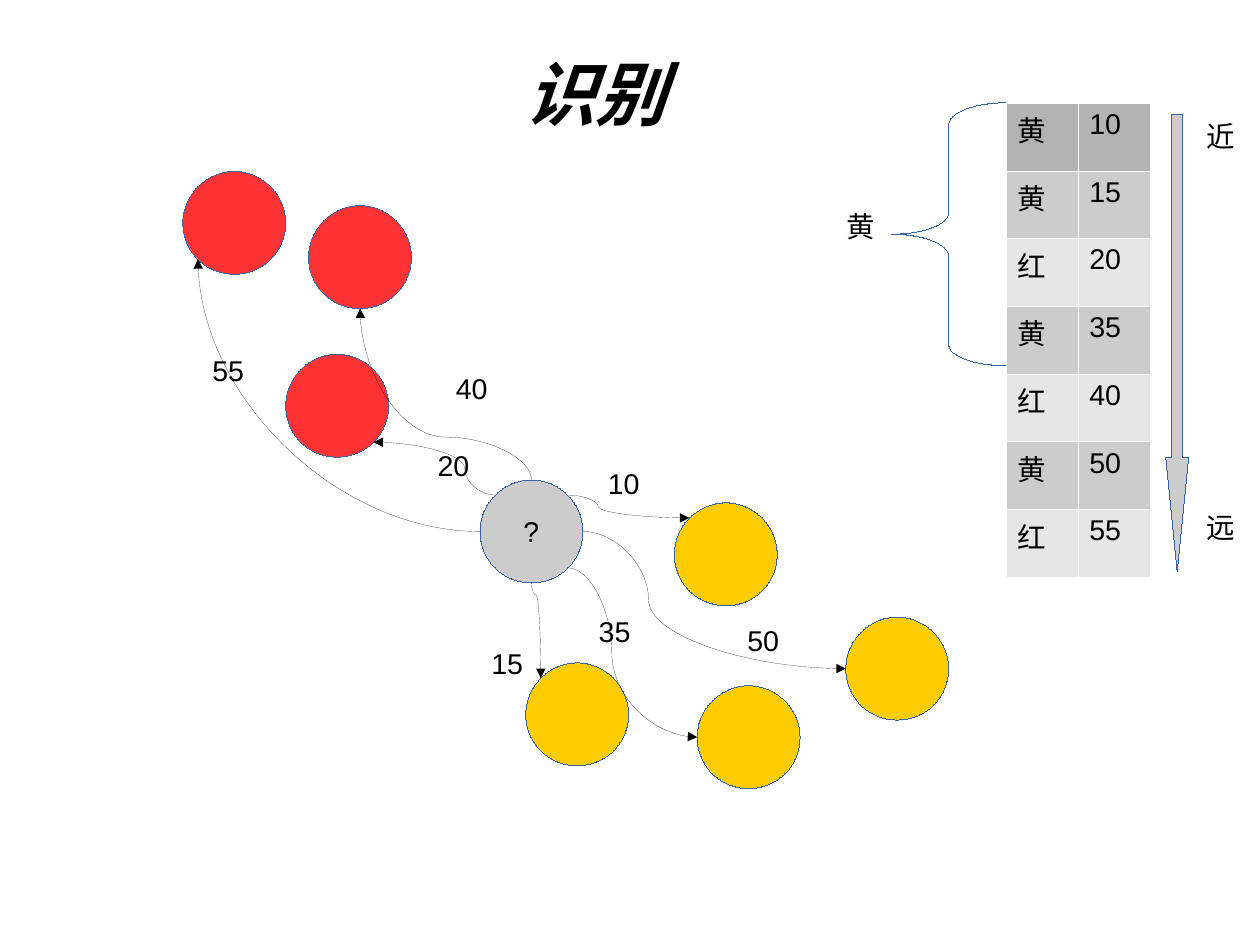
from collections import namedtuple
from math import cos, radians, sin

from lxml.etree import SubElement
from pptx import Presentation
from pptx.dml.color import RGBColor
from pptx.enum.shapes import MSO_CONNECTOR as Link, MSO_SHAPE as Shape
from pptx.enum.text import MSO_ANCHOR as Anchor, MSO_AUTO_SIZE as AutoSize, PP_ALIGN as Align
from pptx.oxml.ns import qn
from pptx.util import Cm, Pt

PX = 9144  # 100 px to the inch
RADIUS = 45
BLACK, WHITE, OUTLINE = "000000", "FFFFFF", "3465A4"
RED, YELLOW, GREY, LIGHT, DARK = "FF3333", "FFCC00", "CCCCCC", "E6E6E6", "B3B3B3"
UNKNOWN = (465, 465)

# Angles run clockwise from the right; bend is None for a single-turn curve.
Neighbour = namedtuple("Neighbour", "distance center color leave arrive bend label")
NEIGHBOURS = [
    Neighbour(15, (505, 625), YELLOW, 90, 225, 0.13, (420, 560)),
    Neighbour(35, (655, 645), YELLOW, 45, 180, 0.34, (514, 532)),
    Neighbour(50, (785, 585), YELLOW, 0, 180, 0.25, (644, 540)),
    Neighbour(10, (635, 485), YELLOW, 315, 225, 0.25, (522, 403)),
    Neighbour(40, (315, 225), RED, 270, 90, 0.25, (389, 320)),
    Neighbour(20, (295, 355), RED, 225, 45, 0.25, (373, 387)),
    Neighbour(55, (205, 195), RED, 180, 135, None, (176, 304)),
]


def px(*lengths):
    return [round(length * PX) for length in lengths]


def rgb(color):
    return RGBColor.from_string(color)


def add_span(para, text, size=18, bold=False, italic=False):
    span = para.add_run()
    span.text = text
    font = span.font
    font.name, font.size, font.bold, font.italic = "Arial", Pt(size), bold, italic
    font.color.rgb = rgb(BLACK)


def add_label(page, text, box):
    frame = page.shapes.add_textbox(*px(*box)).text_frame
    frame.word_wrap = True
    frame.auto_size = AutoSize.SHAPE_TO_FIT_TEXT
    add_span(frame.paragraphs[0], text)


def set_hairline(shape, color):
    """Give the thinnest line; a zero width must be written out in the XML."""
    shape.line.color.rgb = rgb(color)
    line = shape._element.spPr.find(qn("a:ln"))
    line.set("w", "0")
    return line


def add_outlined(page, kind, box, fill=None):
    shape = page.shapes.add_shape(kind, *px(*box))
    shape.shadow.inherit = False
    if fill:
        shape.fill.solid()
        shape.fill.fore_color.rgb = rgb(fill)
    else:
        shape.fill.background()
    set_hairline(shape, OUTLINE)
    return shape


def add_circle(page, center, color):
    x, y = center
    return add_outlined(page, Shape.OVAL, (x - RADIUS, y - RADIUS, 2 * RADIUS, 2 * RADIUS), color)


def rim_point(center, angle):
    turn = radians(angle)
    return center[0] + RADIUS * cos(turn), center[1] + RADIUS * sin(turn)


def add_curve(page, start, end, bend, vertical):
    """Draw a curved arrow that leaves vertically or horizontally."""
    dx, dy = end[0] - start[0], end[1] - start[1]
    width, height = (abs(dy), abs(dx)) if vertical else (abs(dx), abs(dy))
    left = (start[0] + end[0] - width) / 2
    top = (start[1] + end[1] - height) / 2
    curve = page.shapes.add_connector(
        Link.CURVE, *px(left, top, left + width, top + height))
    line = set_hairline(curve, BLACK)
    SubElement(line, qn("a:tailEnd"), type="triangle")

    properties = curve._element.spPr
    frame = properties.find(qn("a:xfrm"))
    if vertical:
        frame.set("rot", str(270 * 60000))
        frame.set("flipH" if dy > 0 else "flipV", "1")
    elif dx < 0:
        frame.set("rot", str(180 * 60000))
    geometry = properties.find(qn("a:prstGeom"))
    if bend is None:
        geometry.set("prst", "curvedConnector2")
    else:
        guides = geometry.find(qn("a:avLst"))
        if guides is None:
            guides = SubElement(geometry, qn("a:avLst"))
        SubElement(guides, qn("a:gd"), name="adj1", fmla=f"val {round(bend * 100000)}")
    SubElement(properties, qn("a:effectLst"))


def add_title(page, box):
    title = page.shapes.title
    title.left, title.top, title.width, title.height = px(*box)
    frame = title.text_frame
    frame.word_wrap = True
    frame.vertical_anchor = Anchor.TOP
    frame.auto_size = AutoSize.SHAPE_TO_FIT_TEXT
    para = frame.paragraphs[0]
    para.alignment = Align.LEFT
    add_span(para, "识别", 44, bold=True, italic=True)


def add_neighbour_map(page):
    unknown = add_circle(page, UNKNOWN, GREY)
    frame = unknown.text_frame
    frame.word_wrap = False
    frame.vertical_anchor = Anchor.MIDDLE
    frame.paragraphs[0].alignment = Align.CENTER
    add_span(frame.paragraphs[0], "?")
    for item in NEIGHBOURS:
        add_circle(page, item.center, item.color)
    for item in NEIGHBOURS:
        add_curve(page, rim_point(UNKNOWN, item.leave), rim_point(item.center, item.arrive),
                  item.bend, vertical=item.leave in (90, 270))
    for item in NEIGHBOURS:
        add_label(page, str(item.distance), (*item.label, 60, 66))


def style_cell(cell, color):
    properties = cell._tc.get_or_add_tcPr()
    for side in ("lnL", "lnR", "lnT", "lnB"):
        border = SubElement(properties, qn(f"a:{side}"), w="720")
        fill = SubElement(border, qn("a:solidFill"))
        SubElement(fill, qn("a:srgbClr"), val=WHITE)
    cell.fill.solid()
    cell.fill.fore_color.rgb = rgb(color)


def add_ranking(page, box):
    """Table of neighbours sorted by distance, with its brace and arrow."""
    left, top, width, height = box
    ranked = sorted(NEIGHBOURS, key=lambda item: item.distance)
    table = page.shapes.add_table(len(ranked), 2, *px(*box)).table
    table.first_row = table.horz_banding = False
    for row, item in enumerate(ranked):
        name, shade = ("黄", GREY) if item.color == YELLOW else ("红", LIGHT)
        for column, text in enumerate((name, str(item.distance))):
            cell = table.cell(row, column)
            style_cell(cell, shade if row else DARK)
            add_span(cell.text_frame.paragraphs[0], text)

    arrow = add_outlined(page, Shape.DOWN_ARROW, (left + width + 14, top + 10, 20, 400), GREY)
    arrow.adjustments[0], arrow.adjustments[1] = 0.5, 5
    for text, offset in (("近", 9), ("远", 351)):
        add_label(page, text, (left + width + 40, top + offset, 40, 47))

    brace = add_outlined(page, Shape.LEFT_BRACE, (left - 100, top, 100, 230))
    brace.adjustments[0], brace.adjustments[1] = 0.19, 0.5
    add_label(page, "黄", (left - 149, top + 88, 40, 47))


def main():
    deck = Presentation()
    deck.slide_width, deck.slide_height = Cm(28), Cm(21)
    page = deck.slides.add_slide(deck.slide_layouts[5])
    add_title(page, (450, 39, 170, 101))
    add_neighbour_map(page)
    add_ranking(page, (880, 90, 126, 415))
    deck.save("out.pptx")


if __name__ == "__main__":
    main()
